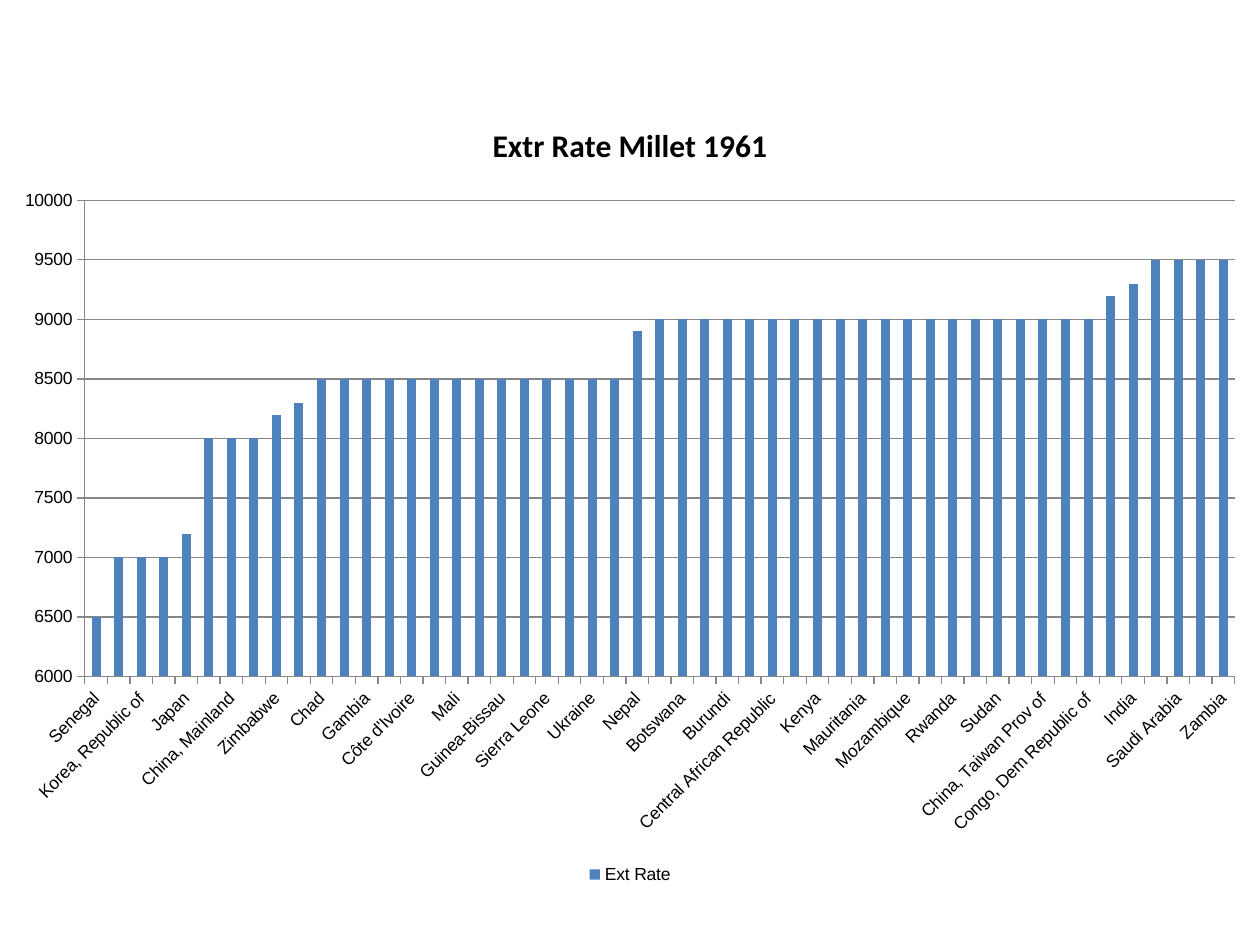
from dataclasses import dataclass

from lxml import etree
from pptx import Presentation
from pptx.chart.data import CategoryChartData
from pptx.dml.color import RGBColor
from pptx.enum.chart import XL_CHART_TYPE, XL_LEGEND_POSITION, XL_TICK_MARK
from pptx.oxml import parse_xml
from pptx.oxml.ns import nsdecls, qn
from pptx.util import Cm, Pt


@dataclass(frozen=True)
class Theme:
    text: RGBColor = RGBColor(0x00, 0x00, 0x00)
    bar: RGBColor = RGBColor(0x4F, 0x81, 0xBD)
    line: RGBColor = RGBColor(0x87, 0x87, 0x87)
    plot_fill: str = "FFFFFF"
    body_font: str = "Arial"
    title_font: str = "Calibri"
    body_size: Pt = Pt(10)
    title_size: Pt = Pt(18)
    line_width: Pt = Pt(0.75)


# Extraction rate -> countries, in ascending order
RATES = [
    (6500, ["Senegal"]),
    (7000, ["Korea, Dem People's Rep", "Korea, Republic of", "Niger"]),
    (7200, ["Japan"]),
    (8000, ["Afghanistan", "China, Mainland", "Uganda"]),
    (8200, ["Zimbabwe"]),
    (8300, ["Guinea"]),
    (8500, ["Chad", "Benin", "Gambia", "Ghana", "Côte d'Ivoire", "Kazakhstan",
            "Mali", "Nigeria", "Guinea-Bissau", "Russian Federation",
            "Sierra Leone", "Togo", "Ukraine", "Burkina Faso"]),
    (8900, ["Nepal"]),
    (9000, ["Angola", "Botswana", "Myanmar", "Burundi", "Cameroon",
            "Central African Republic", "Sri Lanka", "Kenya", "Maldives",
            "Mauritania", "Morocco", "Mozambique", "Namibia", "Rwanda",
            "South Africa", "Sudan", "Syrian Arab Republic",
            "China, Taiwan Prov of", "Yemen", "Congo, Dem Republic of"]),
    (9200, ["Eritrea"]),
    (9300, ["India"]),
    (9500, ["Pakistan", "Saudi Arabia", "Tanzania, United Rep of", "Zambia"]),
]


class SlideBuilder:
    def __init__(self, slide, theme):
        self.slide = slide
        self.theme = theme

    def style_font(self, font, name, size, bold=False):
        font.name, font.size, font.bold = name, size, bold
        font.color.rgb = self.theme.text

    def style_line(self, line):
        line.color.rgb = self.theme.line
        line.width = self.theme.line_width

    def chart_title(self, chart, text):
        """Add a title that lies over the chart and takes no room from it."""
        r = chart.chart_title.text_frame.paragraphs[0].add_run()
        r.text = text
        self.style_font(r.font, self.theme.title_font, self.theme.title_size, True)
        title = chart.element.find(".//" + qn("c:title"))
        for old in title.findall(qn("c:overlay")):
            title.remove(old)
        before = title.find(qn("c:layout"))
        if before is None:
            before = title.find(qn("c:tx"))
        before.addnext(etree.Element(qn("c:overlay"), val="1"))

    def plot_area(self, chart, frame, box):
        """Place the inner plot area, measured from the frame's corner, and fill it."""
        area = chart.element.find(".//" + qn("c:plotArea"))
        for old in area.findall(qn("c:layout")):
            area.remove(old)
        width, height = frame[2:]
        sizes = "".join(f'<c:{tag} val="{length / full}"/>' for tag, length, full
                        in zip("xywh", box, (width, height) * 2))
        area.insert(0, parse_xml(
            f'<c:layout {nsdecls("c")}><c:manualLayout>'
            '<c:layoutTarget val="inner"/><c:xMode val="edge"/><c:yMode val="edge"/>'
            f'{sizes}</c:manualLayout></c:layout>'))
        area.append(parse_xml(
            f'<c:spPr {nsdecls("c", "a")}><a:solidFill>'
            f'<a:srgbClr val="{self.theme.plot_fill}"/></a:solidFill></c:spPr>'))

    def slant_labels(self, chart, skip):
        """Turn the category labels by 45 degrees and show every skip-th one."""
        axis = chart.element.find(".//" + qn("c:catAx"))
        axis.find(qn("c:txPr")).find(qn("a:bodyPr")).set("rot", "-2700000")
        step = etree.Element(qn("c:tickLblSkip"), val=str(skip))
        axis.find(qn("c:lblOffset")).addnext(step)

    def column_chart(self, title, name, rates, frame):
        data = CategoryChartData()
        data.categories = [c for _, countries in rates for c in countries]
        data.add_series(name, [v for v, countries in rates for _ in countries])
        chart = self.slide.shapes.add_chart(
            XL_CHART_TYPE.COLUMN_CLUSTERED, *frame, data).chart
        t = self.theme
        self.style_font(chart.font, t.body_font, t.body_size)
        self.chart_title(chart, title)

        plot = chart.plots[0]
        plot.gap_width, plot.vary_by_categories = 150, False
        fill = plot.series[0].format.fill
        fill.solid()
        fill.fore_color.rgb = t.bar

        for axis in (chart.category_axis, chart.value_axis):
            axis.major_tick_mark = XL_TICK_MARK.OUTSIDE
            axis.minor_tick_mark = XL_TICK_MARK.NONE
            self.style_line(axis.format.line)
            self.style_font(axis.tick_labels.font, t.body_font, t.body_size)
        values = chart.value_axis
        values.minimum_scale, values.maximum_scale = 6000, 10000
        values.major_unit = 500
        values.has_major_gridlines = True
        self.style_line(values.major_gridlines.format.line)

        chart.has_legend = True
        chart.legend.position = XL_LEGEND_POSITION.BOTTOM
        chart.legend.include_in_layout = False
        self.style_font(chart.legend.font, t.body_font, t.body_size)
        return chart


def main():
    prs = Presentation()
    prs.slide_width, prs.slide_height = Cm(25.4), Cm(19.05)
    s = SlideBuilder(prs.slides.add_slide(prs.slide_layouts[6]), Theme())
    frame = Cm(0), Cm(1.93), Cm(25.4), Cm(16)
    chart = s.column_chart("Extr Rate Millet 1961", "Ext Rate", RATES, frame)
    s.plot_area(chart, frame, (Cm(1.71), Cm(2.11), Cm(23.18), Cm(9.6)))
    s.slant_labels(chart, 2)
    prs.save("out.pptx")


if __name__ == "__main__":
    main()
